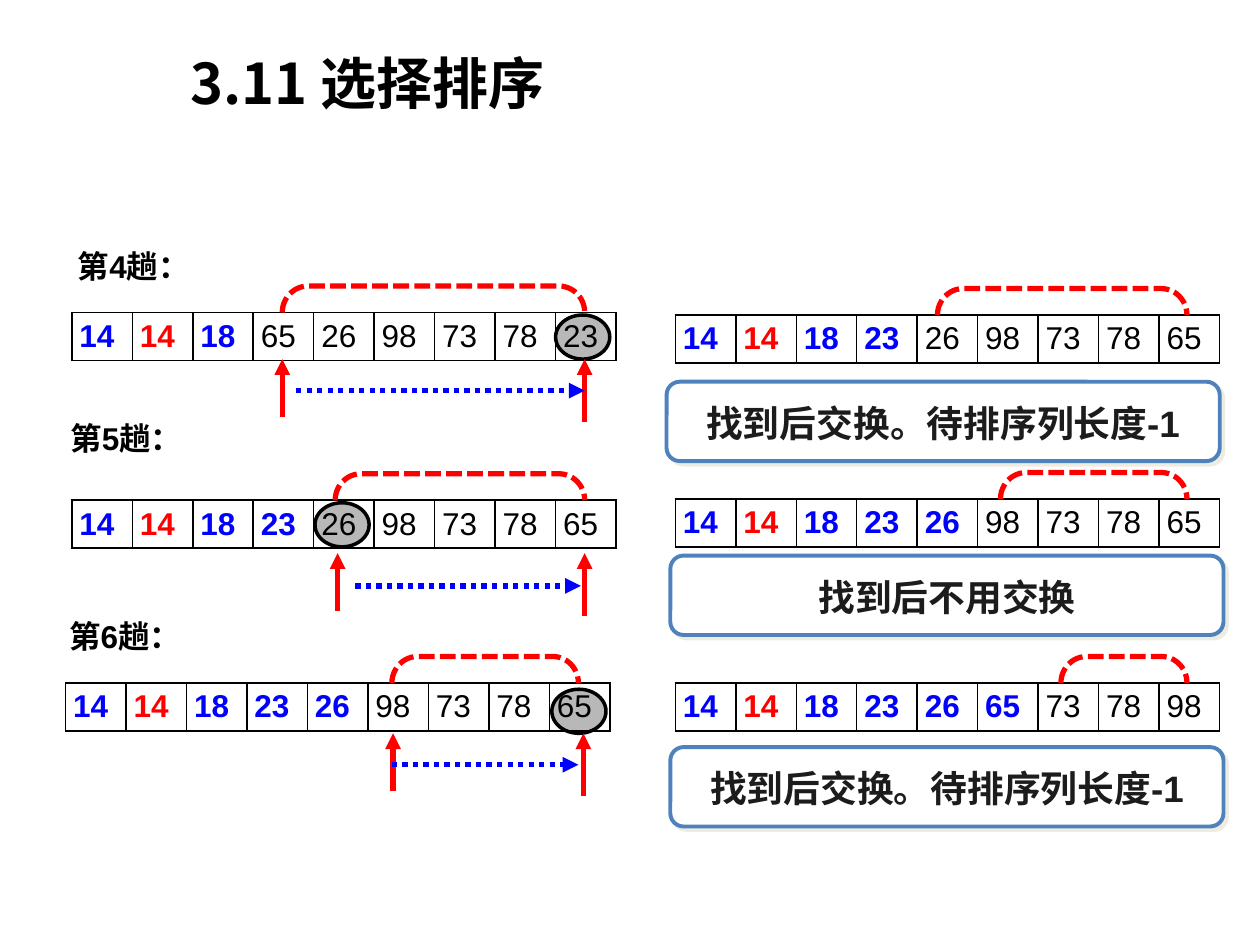
"""Build a slide that traces passes 4 to 6 of a selection sort."""
import pptx
import pptx.dml.color
import pptx.enum.dml
import pptx.enum.shapes
import pptx.enum.text
import pptx.oxml
import pptx.oxml.ns
import pptx.oxml.xmlchemy
import pptx.util
from lxml import etree
from pptx.dml.color import RGBColor
from pptx.enum.dml import MSO_LINE
from pptx.enum.shapes import MSO_CONNECTOR, MSO_SHAPE
from pptx.enum.text import MSO_ANCHOR, MSO_AUTO_SIZE, PP_ALIGN
from pptx.oxml.ns import qn
from pptx.util import Inches, Pt

BLACK = RGBColor(0, 0, 0)
WHITE = RGBColor(255, 255, 255)
RED = RGBColor(255, 0, 0)
BLUE = RGBColor(0, 0, 255)
STEEL = RGBColor(0x4F, 0x81, 0xBD)
INK = RGBColor(0x1C, 0x1C, 0x1C)
CJK_FONT = "Noto Sans CJK SC"
CELL_W, ROW_H = 0.48, 0.38
RIGHT_X = 5.36

PASSES = [
    dict(label=("第4趟：", 0.52, 1.91), left=(0.57, 2.48), right_y=2.5,
         before=([14, 14, 18, 65, 26, 98, 73, 78, 23], 3),
         after=([14, 14, 18, 23, 26, 98, 73, 78, 65], 4),
         spans=((2.24, 4.64), (7.44, 9.42)), ring=(4.41, 2.5),
         ends=(2.24, 4.64), tip=2.85, scan=(2.35, 4.64, 3.1),
         note=("找到后交换。待排序列长度-1", 5.29, 3.03)),
    dict(label=("第5趟：", 0.46, 3.28), left=(0.57, 3.97), right_y=3.96,
         before=([14, 14, 18, 23, 26, 98, 73, 78, 65], 4),
         after=([14, 14, 18, 23, 26, 98, 73, 78, 65], 5),
         spans=((2.66, 4.64), (7.94, 9.42)), ring=(2.5, 3.99),
         ends=(2.68, 4.64), tip=4.39, scan=(2.82, 4.61, 4.65),
         note=("找到后不用交换", 5.32, 4.41)),
    dict(label=("第6趟：", 0.45, 4.85), left=(0.52, 5.42), right_y=5.42,
         before=([14, 14, 18, 23, 26, 98, 73, 78, 65], 5),
         after=([14, 14, 18, 23, 26, 65, 73, 78, 98], 6),
         spans=((3.11, 4.59), (8.42, 9.42)), ring=(4.38, 5.47),
         ends=(3.12, 4.63), tip=5.82, scan=(3.11, 4.59, 6.07),
         note=("找到后交换。待排序列长度-1", 5.32, 5.93)),
]


def write(tf, text, size, color, bold=True, font="Arial", align=None):
    """Put one formatted paragraph in a text frame."""
    p = tf.paragraphs[0]
    p.text = text
    p.alignment = align
    p.font.size = Pt(size)
    p.font.bold = bold
    p.font.color.rgb = color
    p.font.name = font
    ea = etree.SubElement(p._p.pPr.find(qn("a:defRPr")), qn("a:ea"))
    ea.set("typeface", CJK_FONT)


def add_title(s, text):
    """Place the slide title."""
    sp = s.shapes.title
    sp.left, sp.top, sp.width, sp.height = map(Inches, (1.35, 0.33, 3.13, 0.64))
    tf = sp.text_frame
    tf.word_wrap = False
    tf.auto_size = MSO_AUTO_SIZE.SHAPE_TO_FIT_TEXT
    write(tf, text, 32, BLACK, font=CJK_FONT, align=PP_ALIGN.CENTER)


def add_text(shapes, text, x, y, w, h, size, color, align=None):
    """Add a wrapping text box."""
    tf = shapes.add_textbox(*map(Inches, (x, y, w, h))).text_frame
    tf.word_wrap = True
    tf.auto_size = MSO_AUTO_SIZE.SHAPE_TO_FIT_TEXT
    write(tf, text, size, color, align=align)


def add_borders(cell):
    """Give a cell thin black borders on every side."""
    tcPr = cell._tc.get_or_add_tcPr()
    for i, side in enumerate(("lnL", "lnR", "lnT", "lnB")):
        ln = etree.Element(qn(f"a:{side}"), w=str(Pt(1)))
        fill = etree.SubElement(ln, qn("a:solidFill"))
        etree.SubElement(fill, qn("a:srgbClr"), val=str(BLACK))
        tcPr.insert(i, ln)


def add_sequence(s, x, y, values, sorted_count):
    """Add a one-row table whose sorted part is bold and coloured."""
    frame = s.shapes.add_table(1, len(values), Inches(x), Inches(y),
                               Inches(CELL_W * len(values)), Inches(ROW_H))
    table = frame.table
    table.first_row = table.horz_banding = False
    table.rows[0].height = Inches(ROW_H)
    for i, value in enumerate(values):
        table.columns[i].width = Inches(CELL_W)
        cell = table.cell(0, i)
        cell.margin_left = cell.margin_right = Inches(0.06)
        cell.margin_top = cell.margin_bottom = 0
        cell.vertical_anchor = MSO_ANCHOR.MIDDLE
        cell.fill.background()
        done = i < sorted_count
        color = RED if i == 1 else BLUE if done else BLACK
        write(cell.text_frame, str(value), 18, color, done, align=PP_ALIGN.JUSTIFY)
        add_borders(cell)


def add_bracket(s, span, bottom):
    """Add a dashed bracket that opens downwards over a span."""
    depth, length = 0.21, span[1] - span[0]
    x = (sum(span) - depth) / 2
    y = bottom - (depth + length) / 2
    sp = s.shapes.add_shape(MSO_SHAPE.LEFT_BRACKET,
                            *map(Inches, (x, y, depth, length)))
    sp.rotation = 90
    sp.adjustments[0] = 0.975
    sp.shadow.inherit = False
    sp.fill.background()
    sp.line.color.rgb = RED
    sp.line.width = Pt(3)
    sp.line.dash_style = MSO_LINE.SQUARE_DOT


def add_ring(s, x, y):
    """Add a translucent ellipse that marks the minimum."""
    sp = s.shapes.add_shape(MSO_SHAPE.OVAL, *map(Inches, (x, y, 0.43, 0.35)))
    sp.shadow.inherit = False
    sp.fill.solid()
    sp.fill.fore_color.rgb = BLACK
    color = sp._element.spPr.find(qn("a:solidFill"))[0]
    etree.SubElement(color, qn("a:alpha"), val="28000")
    sp.line.color.rgb = BLACK
    sp.line.width = Pt(2)


def add_arrow(s, x1, y1, x2, y2, color, dash=None):
    """Add a straight arrow."""
    c = s.shapes.add_connector(MSO_CONNECTOR.STRAIGHT,
                               *map(Inches, (x1, y1, x2, y2)))
    c.line.color.rgb = color
    c.line.width = Pt(3)
    if dash:
        c.line.dash_style = dash
    etree.SubElement(c.line._get_or_add_ln(), qn("a:tailEnd"), type="triangle")
    etree.SubElement(c._element.spPr, qn("a:effectLst"))


def add_note(s, text, x, y):
    """Add a grouped rounded panel with a centred remark."""
    shapes = s.shapes.add_group_shape().shapes
    sp = shapes.add_shape(MSO_SHAPE.ROUNDED_RECTANGLE,
                          *map(Inches, (x, y, 4.39, 0.63)))
    sp.shadow.inherit = False
    sp.fill.solid()
    sp.fill.fore_color.rgb = WHITE
    sp.line.color.rgb = STEEL
    sp.line.width = Pt(2.25)
    effects = sp._element.spPr.find(qn("a:effectLst"))
    shadow = etree.SubElement(effects, qn("a:outerShdw"), dist=str(Pt(2.8)),
                              dir="2700000", algn="ctr", rotWithShape="0")
    etree.SubElement(shadow, qn("a:srgbClr"), val="EEECE1")
    add_text(shapes, text, x + 0.12, y + 0.1, 4.15, 0.45, 21, INK, PP_ALIGN.CENTER)


def add_pass(s, step):
    """Draw one sorting pass, before and after the exchange."""
    label, x, y = step["label"]
    add_text(s.shapes, label, x, y, 1.11, 0.4, 18, BLACK)
    add_ring(s, *step["ring"])
    places = (step["left"], (RIGHT_X, step["right_y"]))
    for place, row, span in zip(places, (step["before"], step["after"]), step["spans"]):
        add_sequence(s, *place, *row)
        add_bracket(s, span, place[1])
    tip = step["tip"]
    for x, length in zip(step["ends"], (0.46, 0.5)):
        add_arrow(s, x, tip + length, x, tip, RED)
    x1, x2, y = step["scan"]
    add_arrow(s, x1, y, x2, y, BLUE, MSO_LINE.ROUND_DOT)
    add_note(s, *step["note"])


def main():
    """Build and save the slide."""
    prs = pptx.Presentation()
    prs.slide_width, prs.slide_height = Inches(10), Inches(7.5)
    s = prs.slides.add_slide(prs.slide_layouts[5])
    add_title(s, "3.11 选择排序")
    for step in PASSES:
        add_pass(s, step)
    prs.save("out.pptx")


if __name__ == "__main__":
    main()
